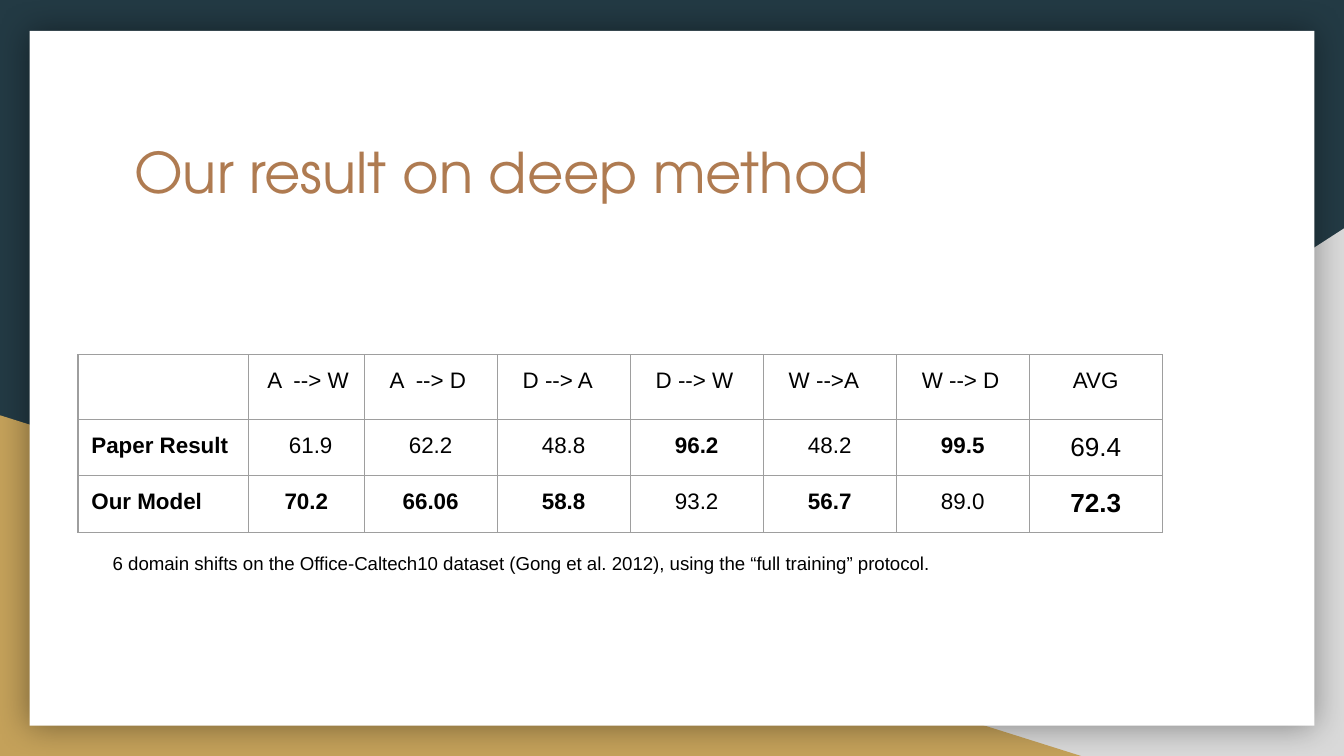
from pptx import Presentation
from pptx.util import Inches, Pt
from pptx.dml.color import RGBColor as RGB
from pptx.enum.shapes import MSO_SHAPE as Kind
from pptx.enum.text import PP_ALIGN as Align, MSO_ANCHOR as Anchor
from pptx.oxml import parse_xml
from pptx.oxml.ns import nsdecls, qn

# Content: a leading * marks a bold cell
TITLE = "Our result on deep method"
NOTE = ("6 domain shifts on the Office-Caltech10 dataset (Gong et al. 2012), "
        "using the “full training” protocol.")
ROWS = [
    ["", "A  --> W", "A  --> D", "D --> A", "D --> W", "W -->A", "W --> D", "AVG"],
    ["*Paper Result", "61.9", "62.2", "48.8", "*96.2", "48.2", "*99.5", "69.4"],
    ["*Our Model", "*70.2", "*66.06", "*58.8", "93.2", "*56.7", "89.0", "*72.3"],
]

THEME = {
    "back": "233A44", "gray": "D9D9D9", "gold": "C4A15A", "card": "FFFFFF",
    "title": "AF7B51", "text": "000000", "rule": "9E9E9E",
    "head": "TeX Gyre Adventor", "body": "Arial",
    "big": 30, "avg": 14, "cell": 12, "note": 10,
}

# Layout: shape, left, top, width, height, color, flipped
DECOR = [
    (Kind.RIGHT_TRIANGLE, 3.92, 1.7, 6.08, 3.93, "gray", True),
    (Kind.RIGHT_TRIANGLE, 0, 3.09, 8.06, 2.54, "gold", False),
    (Kind.RECTANGLE, 0.22, 0.23, 9.56, 5.17, "card", False),
]
COLS = [1.27, 0.86] + [0.99] * 6
HIGH = [0.48, 0.42, 0.42]
PAD = 0.1
SIDES = ("left", "right", "top", "bottom")
# Left insets of the cells that are indented instead of centered
INSET = {(0, 1): 0.14, (1, 1): 0.3}
INSET.update({(0, c): 0.19 for c in range(2, 7)})
INSET.update({(r, 0): PAD for r in range(3)})


def put(frame, text, size, font="body", color="text", bold=False, align=Align.LEFT):
    frame.text = text
    para = frame.paragraphs[0]
    para.alignment = align
    look = {"size": Pt(THEME[size]), "name": THEME[font], "bold": bold}
    for key, val in look.items():
        setattr(para.font, key, val)
    para.font.color.rgb = RGB.from_string(THEME[color])


def pad(part):
    for side in SIDES:
        setattr(part, f"margin_{side}", Inches(PAD))


def setup(frame):
    pad(frame)
    for key, val in {"word_wrap": True, "vertical_anchor": Anchor.TOP}.items():
        setattr(frame, key, val)


def border(cell):
    props = cell._tc.get_or_add_tcPr()
    for side in "LRTB":
        props.append(parse_xml(
            f'<a:ln{side} {nsdecls("a")} w="{Pt(0.75)}"><a:solidFill>'
            f'<a:srgbClr val="{THEME["rule"]}"/></a:solidFill></a:ln{side}>'))


# Slide in 16:9
prs = Presentation()
prs.slide_width = Inches(10)
prs.slide_height = Inches(10) * 9 // 16
slide = prs.slides.add_slide(prs.slide_layouts[5])
shapes = slide.shapes
fill = slide.background.fill
fill.solid()
fill.fore_color.rgb = RGB.from_string(THEME["back"])

# Backdrop triangles and white card
for kind, *box, color, flip in DECOR:
    shape = shapes.add_shape(kind, *map(Inches, box))
    shape.shadow.inherit = False
    shape.fill.solid()
    shape.fill.fore_color.rgb = RGB.from_string(THEME[color])
    shape.line.fill.background()
    if flip:
        shape._element.spPr.xfrm.set("flipH", "1")

# Soft shadow around the card, the last shape drawn
shape._element.spPr.find(qn("a:effectLst")).append(parse_xml(
    f'<a:outerShdw {nsdecls("a")} blurRad="{Pt(18)}" dist="0" dir="0" algn="ctr" '
    'rotWithShape="0"><a:srgbClr val="000000"><a:alpha val="40000"/></a:srgbClr>'
    '</a:outerShdw>'))

# Title, raised above the card
title = shapes.title
title.left, title.top, title.width, title.height = map(Inches, (0.9, 0.92, 8.21, 1.04))
setup(title.text_frame)
put(title.text_frame, TITLE, "big", "head", "title")
shapes._spTree.append(title._element)

# Result table
table = shapes.add_table(len(ROWS), len(COLS), Inches(0.58), Inches(2.64),
                         Inches(sum(COLS)), Inches(sum(HIGH))).table
table.first_row = table.horz_banding = False
for col, wide in zip(table.columns, COLS):
    col.width = Inches(wide)
for row, high in zip(table.rows, HIGH):
    row.height = Inches(high)
for r, line in enumerate(ROWS):
    for c, text in enumerate(line):
        cell = table.cell(r, c)
        border(cell)
        cell.fill.background()
        pad(cell)
        cell.margin_left = Inches(INSET.get((r, c), PAD))
        put(cell.text_frame, text.lstrip("*"),
            "avg" if r and c == len(COLS) - 1 else "cell",
            bold=text.startswith("*"),
            align=Align.LEFT if (r, c) in INSET else Align.CENTER)

# Note below the table
note = shapes.add_textbox(*map(Inches, (0.74, 4.02, 7.92, 0.3))).text_frame
setup(note)
put(note, NOTE, "note")

prs.save("out.pptx")
